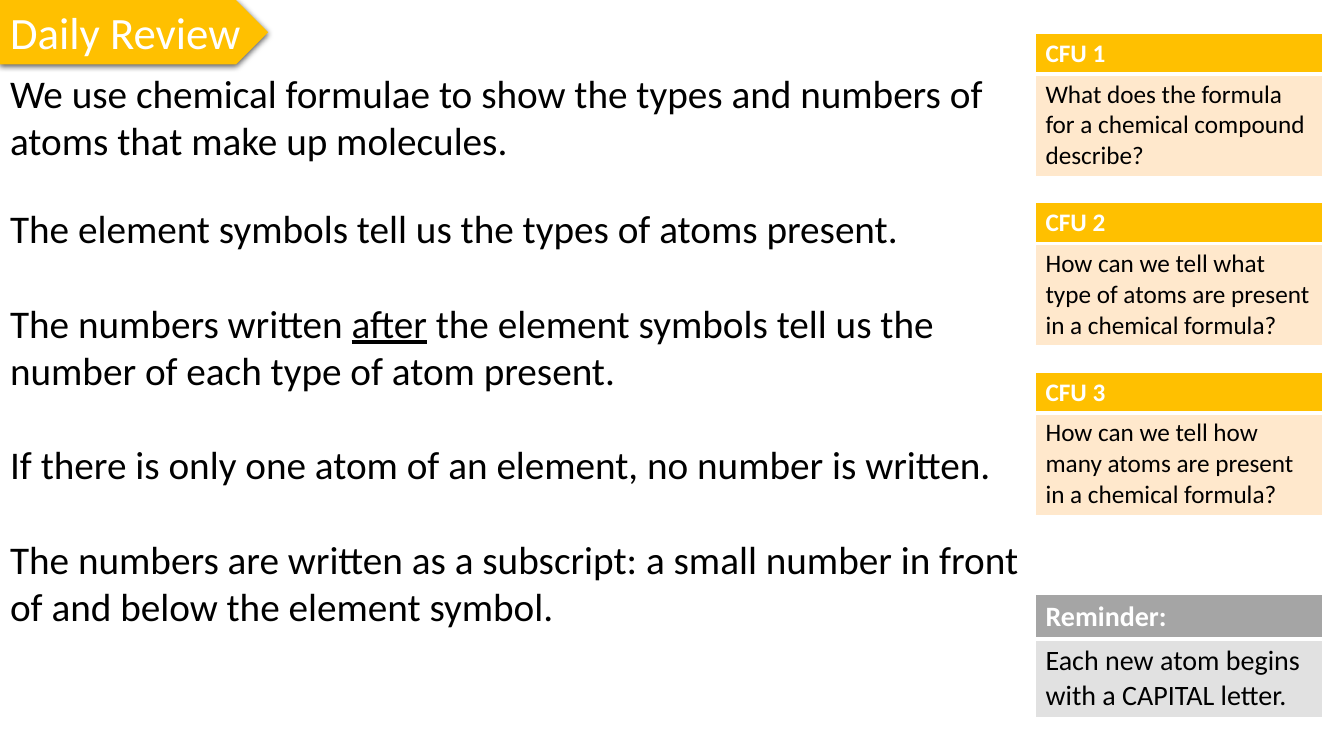
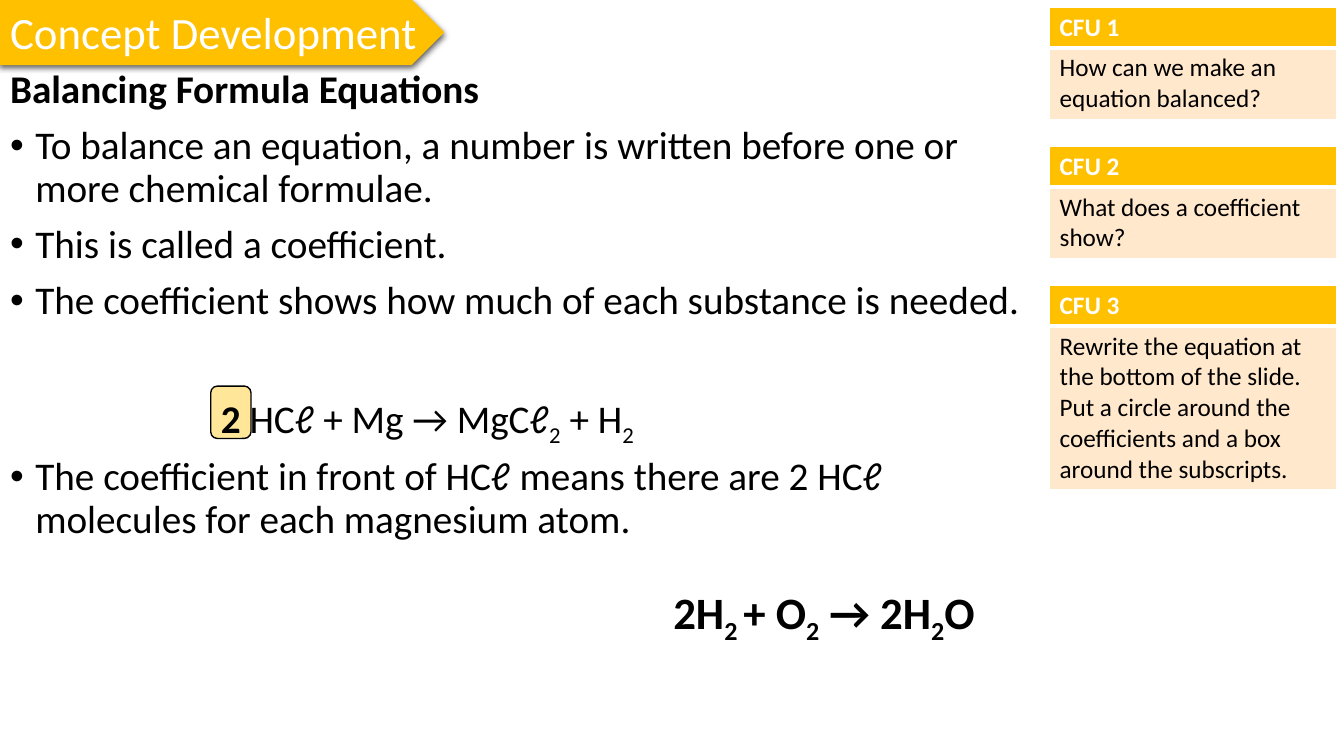
from dataclasses import dataclass
from typing import Any, NamedTuple

from lxml.etree import SubElement
from pptx import Presentation
from pptx.dml.color import RGBColor
from pptx.enum.shapes import MSO_SHAPE as Preset
from pptx.enum.text import MSO_ANCHOR as Anchor, MSO_AUTO_SIZE as AutoSize, PP_ALIGN as Align
from pptx.oxml.ns import qn
from pptx.util import Inches, Pt


# Theme: colours and type sizes
@dataclass(frozen=True)
class Theme:
    font: str = "Calibri"
    amber: str = "FFC000"
    peach: str = "FFE8CC"
    grey: str = "A5A5A5"
    pale_grey: str = "E1E1E1"
    cream: str = "FFE699"
    white: str = "FFFFFF"
    black: str = "000000"
    title: int = 32
    body: int = 28
    card: int = 18
    reminder: int = 20


THEME = Theme()
CARD_WIDTH, CARD_GAP, CELL_PADDING = 2.85, 0.28, 0.1
BANNER_HEIGHT = 0.64


# Content records
class Box(NamedTuple):
    left: float
    top: float
    width: float
    height: float

    def lengths(self) -> list[int]:
        return [Inches(value) for value in self]


class Span(NamedTuple):
    text: str
    bold: bool = False
    underline: bool = False
    subscript: bool = False


class Para(NamedTuple):
    spans: list[Span]
    before: float = 0
    bullet: bool = False
    indent: float = 0
    spacing: float = 1.0


@dataclass(frozen=True)
class Card:
    heading: str
    text: str
    lines: int
    size: int = THEME.card
    line_height: float = 0.3
    strong: str = THEME.amber
    soft: str = THEME.peach

    def row_heights(self) -> list[float]:
        return [count * self.line_height + CELL_PADDING for count in (1, self.lines)]


# Formatting helpers
def apply_format(target: Any, values: dict[str, Any]) -> None:
    for name, value in values.items():
        setattr(target, name, value)


def paint(fill: Any, colour: str) -> None:
    fill.solid()
    fill.fore_color.rgb = RGBColor.from_string(colour)


def write_span(para: Any, content: Span, size: int, colour: str) -> None:
    span = para.add_run()
    span.text = content.text
    apply_format(span.font, {"name": THEME.font, "size": Pt(size), "bold": content.bold,
                             "underline": content.underline})
    span.font.color.rgb = RGBColor.from_string(colour)
    if content.subscript:
        span._r.get_or_add_rPr().set("baseline", "-25000")


def write_paras(frame: Any, contents: list[Para], size: int, colour: str = THEME.black) -> None:
    for index, content in enumerate(contents):
        para = frame.add_paragraph() if index else frame.paragraphs[0]
        props = para._p.get_or_add_pPr()
        hanging = 0.25 if content.bullet else 0
        props.set("marL", str(Inches(content.indent + hanging)))
        props.set("indent", str(Inches(-hanging)))
        if content.bullet:
            SubElement(props, qn("a:buFont"), typeface="Arial")
            SubElement(props, qn("a:buChar"), char="•")
        else:
            SubElement(props, qn("a:buNone"))
        apply_format(para, {"alignment": Align.LEFT, "space_before": Pt(content.before),
                            "space_after": Pt(0), "line_spacing": content.spacing})
        for span in content.spans:
            write_span(para, span, size, colour)


def place_text(shape: Any, box: Box, contents: list[Para], size: int,
               colour: str = THEME.black) -> None:
    apply_format(shape, dict(zip(("left", "top", "width", "height"), box.lengths())))
    apply_format(shape.text_frame, {"word_wrap": True, "auto_size": AutoSize.NONE,
                                    "vertical_anchor": Anchor.TOP})
    write_paras(shape.text_frame, contents, size, colour)


def add_back_shape(page: Any, preset: Any, box: Box, colour: str,
                   line: str = "", line_width: float = 1) -> Any:
    shape = page.shapes.add_shape(preset, *box.lengths())
    shape.shadow.inherit = False
    paint(shape.fill, colour)
    if line:
        paint(shape.line.fill, line)
        shape.line.width = Pt(line_width)
    else:
        shape.line.fill.background()
    page.shapes._spTree.insert(2, shape._element)
    return shape


# Slide parts
def add_banner(page: Any, text: str, width: float, line: str = "") -> None:
    box = Box(0, 0, width, BANNER_HEIGHT)
    arrow = add_back_shape(page, Preset.PENTAGON, box, THEME.amber, line, 0.75)
    effects = arrow._element.spPr.find(qn("a:effectLst"))
    shadow = SubElement(effects, qn("a:outerShdw"), blurRad=str(Pt(4.5)), dist=str(Pt(1.5)),
                        dir="5400000", algn="ctr", rotWithShape="0")
    tint = SubElement(shadow, qn("a:srgbClr"), val=THEME.black)
    SubElement(tint, qn("a:alpha"), val="63000")
    place_text(page.shapes.title, box, [Para([Span(text)])], THEME.title, THEME.white)


def set_borders(cell: Any, widths: dict[str, float]) -> None:
    props = cell._tc.get_or_add_tcPr()
    for index, (side, width) in enumerate(widths.items()):
        line = props.makeelement(qn(f"a:ln{side}"), {"w": str(Pt(width))})
        fill = SubElement(line, qn("a:solidFill"))
        SubElement(fill, qn("a:srgbClr"), val=THEME.white)
        props.insert(index, line)


def add_card(page: Any, card: Card, left: float, top: float) -> float:
    """Draw a heading-and-text card and return its bottom edge."""
    heights = card.row_heights()
    box = Box(left, top, CARD_WIDTH, sum(heights))
    table = page.shapes.add_table(2, 1, *box.lengths()).table
    table.horz_banding = False
    rows = (
        (Span(card.heading, bold=True), THEME.white, card.strong, 1, 3),
        (Span(card.text), THEME.black, card.soft, 3, 1),
    )
    for index, (span, colour, fill, upper, lower) in enumerate(rows):
        table.rows[index].height = Inches(heights[index])
        cell = table.cell(index, 0)
        paint(cell.fill, fill)
        set_borders(cell, {"L": 1, "R": 1, "T": upper, "B": lower})
        write_span(cell.text_frame.paragraphs[0], span, card.size, colour)
    return top + sum(heights)


def add_card_stack(page: Any, cards: list[Card], left: float, top: float) -> None:
    for card in cards:
        top = add_card(page, card, left, top) + CARD_GAP


# Slides
def build_review(page: Any) -> None:
    left = 10.27
    add_banner(page, "Daily Review", 2.66)
    place_text(page.placeholders[1], Box(0, BANNER_HEIGHT, left, 5.69), [
        Para([Span("We use chemical formulae to show the types and numbers of atoms "
                   "that make up molecules.")]),
        Para([Span("The element symbols tell us the types of atoms present.")], before=29),
        Para([Span("The numbers written "), Span("after", underline=True),
              Span(" the element symbols tell us the number of each type of atom present.")],
             before=34),
        Para([Span("If there is only one atom of an element, no number is written.")], before=34),
        Para([Span("The numbers are written as a subscript: a small number in front of "
                   "and below the element symbol.")], before=34),
    ], THEME.body)
    add_card_stack(page, [
        Card("CFU 1", "What does the formula for a chemical compound describe?", 3),
        Card("CFU 2", "How can we tell what type of atoms are present in a chemical formula?", 3),
        Card("CFU 3", "How can we tell how many atoms are present in a chemical formula?", 3),
    ], left, 0.33)
    add_card(page, Card("Reminder:", "Each new atom begins with a CAPITAL letter.", 2,
                        THEME.reminder, 0.33, THEME.grey, THEME.pale_grey), left, 5.9)


def build_concept(page: Any) -> None:
    left = 10.41
    add_banner(page, "Concept Development", 4.4, THEME.amber)

    def point(text: str) -> Para:
        return Para([Span(text)], before=10, bullet=True, spacing=0.9)

    place_text(page.placeholders[1], Box(0, BANNER_HEIGHT, left, 5.48), [
        Para([Span("Balancing Formula Equations", bold=True)], spacing=0.9),
        point("To balance an equation, a number is written before one or more chemical formulae."),
        point("This is called a coefficient."),
        point("The coefficient shows how much of each substance is needed."),
        Para([Span("2 ", bold=True), Span("HCℓ + Mg → MgCℓ"), Span("2", subscript=True),
              Span(" + H"), Span("2", subscript=True)], before=51, indent=2.09, spacing=0.9),
        point("The coefficient in front of HCℓ means there are 2 HCℓ molecules "
              "for each magnesium atom."),
    ], THEME.body)

    # Coefficient highlight and practice equation
    add_back_shape(page, Preset.ROUNDED_RECTANGLE, Box(2.09, 3.83, 0.4, 0.52),
                   THEME.cream, THEME.black)
    box = Box(6.58, 5.75, 3.33, 0.64)
    place_text(page.shapes.add_textbox(*box.lengths()), box, [Para([
        Span(text, bold=True, subscript=text.strip() == "2")
        for text in ("2H", "2 ", "+ O", "2", " → 2H", "2", "O")
    ])], THEME.title)

    add_card_stack(page, [
        Card("CFU 1", "How can we make an equation balanced?", 2),
        Card("CFU 2", "What does a coefficient show?", 2),
        Card("CFU 3", "Rewrite the equation at the bottom of the slide. Put a circle around "
                      "the coefficients and a box around the subscripts.", 5),
    ], left, 0.07)


def main() -> None:
    deck = Presentation()
    apply_format(deck, {"slide_width": Inches(13.33), "slide_height": Inches(7.5)})
    for build in (build_review, build_concept):
        build(deck.slides.add_slide(deck.slide_layouts[1]))
    deck.save("out.pptx")


if __name__ == "__main__":
    main()
